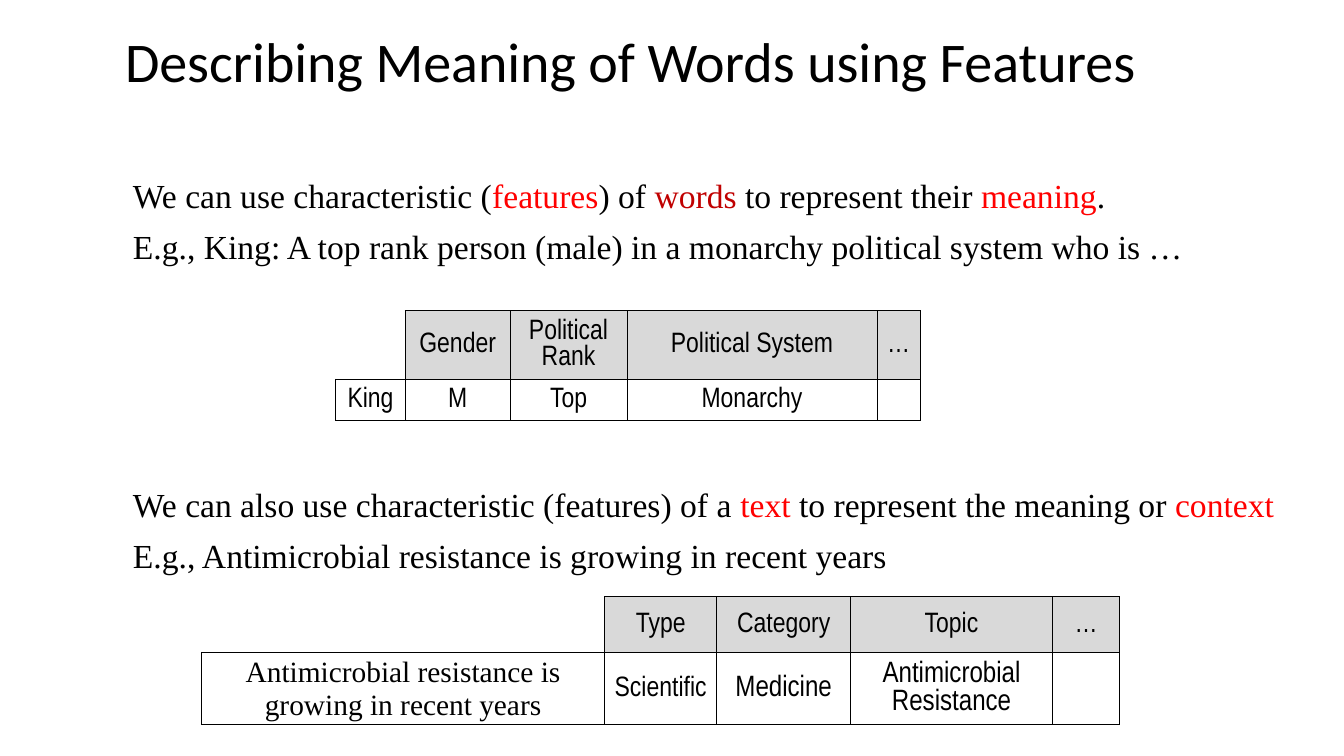
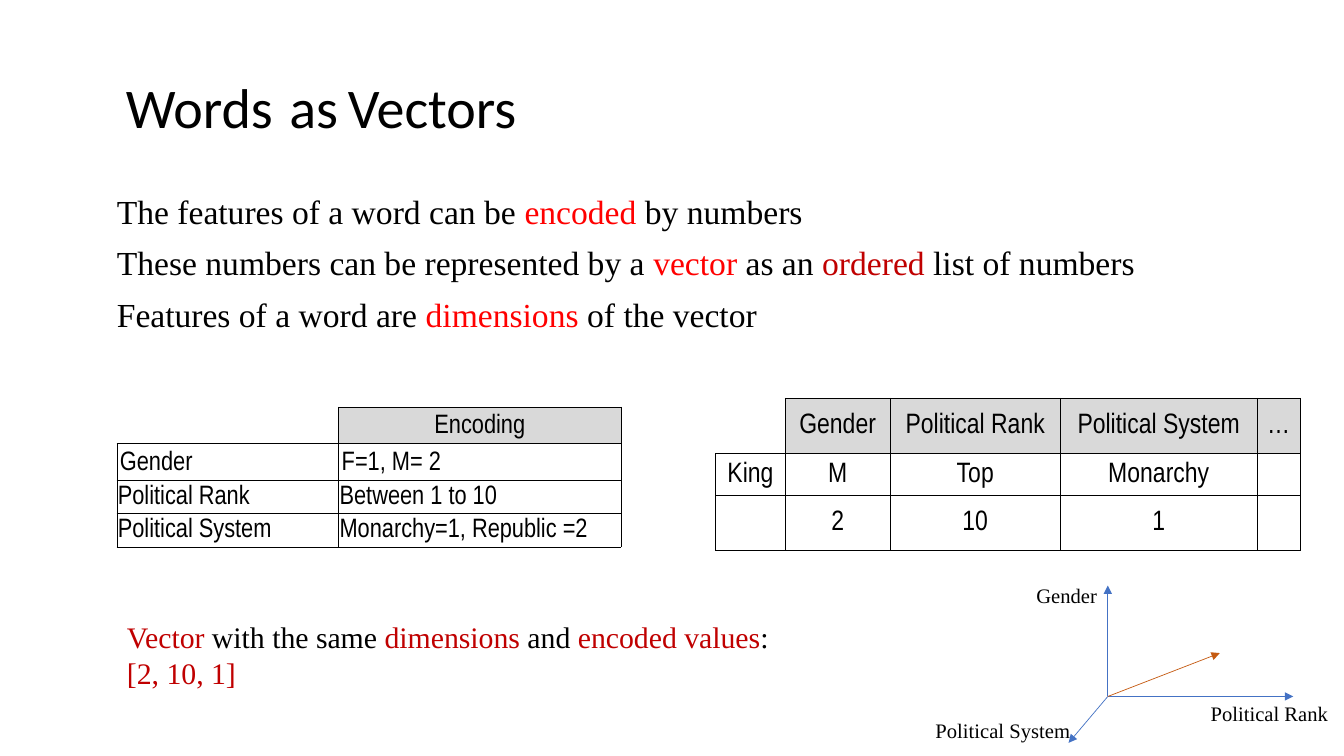
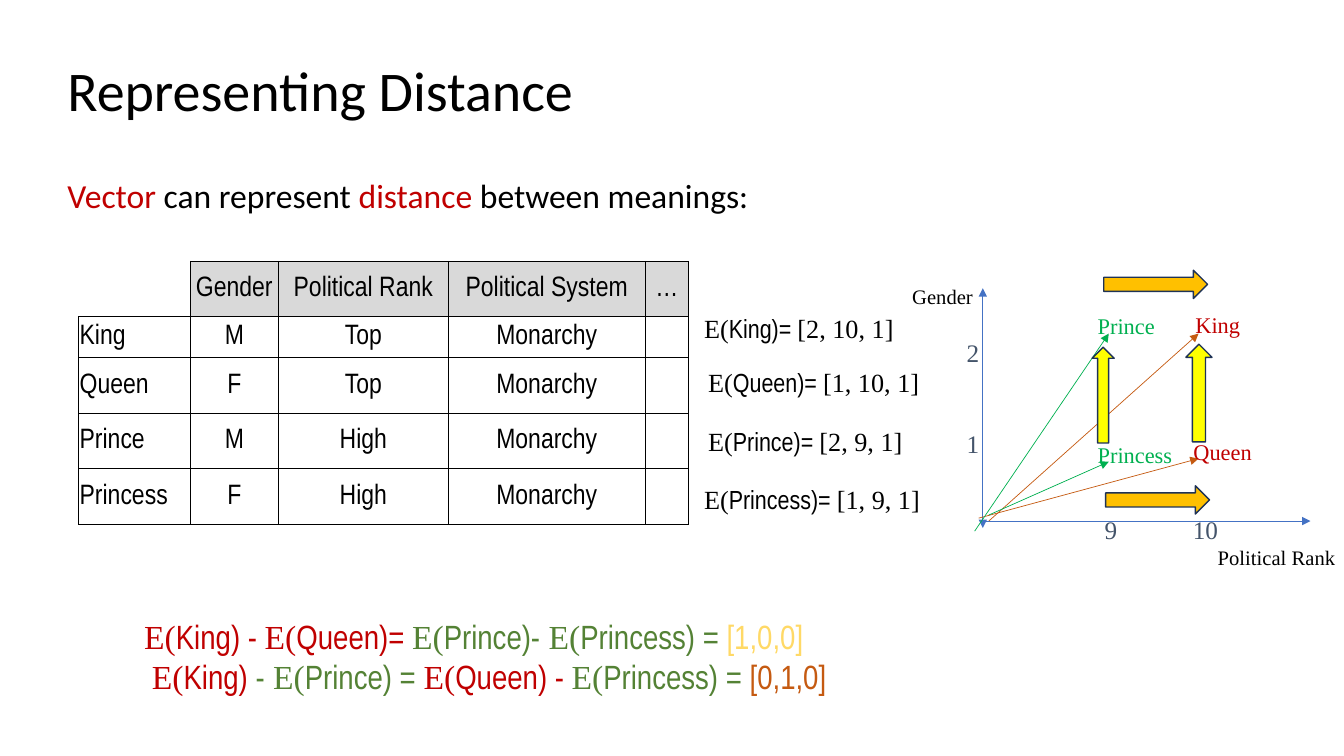
from dataclasses import dataclass

from lxml import etree
from pptx import Presentation
from pptx.dml.color import RGBColor
from pptx.enum.shapes import MSO_CONNECTOR, MSO_SHAPE
from pptx.enum.text import MSO_ANCHOR, PP_ALIGN
from pptx.oxml.ns import qn
from pptx.util import Pt

STRAIGHT = MSO_CONNECTOR.STRAIGHT
RIGHT_ARROW, UP_ARROW = MSO_SHAPE.RIGHT_ARROW, MSO_SHAPE.UP_ARROW
TOP, MIDDLE = MSO_ANCHOR.TOP, MSO_ANCHOR.MIDDLE
LEFT, CENTER = PP_ALIGN.LEFT, PP_ALIGN.CENTER


@dataclass(frozen=True)
class Theme:
    # Colours
    ink: str = "000000"
    red: str = "FF0000"
    dark_red: str = "C00000"
    green: str = "00B050"
    olive: str = "548235"
    rust: str = "C55A11"
    gold: str = "FFD966"
    orange: str = "FFC000"
    yellow: str = "FFFF00"
    blue: str = "4472C4"
    navy: str = "1E3256"
    slate: str = "44546A"
    header: str = "D9D9D9"
    # Fonts
    sans: str = "Calibri"
    serif: str = "Times New Roman"
    narrow: str = "Arial Narrow"
    # Type sizes
    title: float = 40
    body: float = 24
    note: float = 21.3
    cell_large: float = 21
    cell: float = 20
    cell_small: float = 19
    encoding: float = 18.7
    tick: float = 18
    word: float = 16
    axis: float = 14.7
    # Lines
    hairline: float = 0.5
    outline: float = 1


THEME = Theme()
TITLE_TABS = (116.64, 158.4)
RANK_SYSTEM_COLUMNS = (121.7, 140.4, 31)
FEATURES = ["Gender", "Political Rank", "Political System", "…"]


def rgb(colour):
    return RGBColor.from_string(colour)


def format_run(run, size, font, colour):
    run.font.size = Pt(size)
    run.font.name = font
    run.font.color.rgb = rgb(colour)


def add_text(slide, box, lines, size, font=THEME.serif, space_after=0, anchor=TOP):
    """Each line is a list of spans: (text, colour, font), the last two optional."""
    shape = slide.shapes.add_textbox(*map(Pt, box))
    frame = shape.text_frame
    frame.word_wrap = True
    frame.vertical_anchor = anchor
    frame.margin_left = frame.margin_right = frame.margin_top = frame.margin_bottom = 0
    for number, spans in enumerate(lines):
        paragraph = frame.add_paragraph() if number else frame.paragraphs[0]
        paragraph.space_after = Pt(space_after)
        for text, *style in spans:
            colour, face = (style + [THEME.ink, font][len(style):])
            run = paragraph.add_run()
            run.text = text
            format_run(run, size, face, colour)
    return frame


def add_title(slide, left, top, text):
    frame = add_text(slide, (left, top, 747, 48), [[(text,)]], THEME.title,
                     THEME.sans, anchor=MIDDLE)
    paragraph = frame.paragraphs[0]
    paragraph.line_spacing = 0.9
    tabs = etree.SubElement(paragraph._p.get_or_add_pPr(), qn("a:tabLst"))
    for position in TITLE_TABS:
        etree.SubElement(tabs, qn("a:tab"), pos=str(Pt(position)), algn="l")


def add_body(slide, left, top, width, lines):
    add_text(slide, (left, top, width, 36 * len(lines)), lines, THEME.body, space_after=8)


def add_label(slide, left, top, text, size, colour=THEME.ink, width=88):
    add_text(slide, (left, top, width, size * 1.2), [[(text, colour)]], size)


# Tables

def set_borders(cell, hidden):
    properties = cell._tc.get_or_add_tcPr()
    for index, side in enumerate(("a:lnL", "a:lnR", "a:lnT", "a:lnB")):
        line = etree.Element(qn(side), w=str(Pt(THEME.hairline)))
        if side in hidden:
            etree.SubElement(line, qn("a:noFill"))
        else:
            fill = etree.SubElement(line, qn("a:solidFill"))
            etree.SubElement(fill, qn("a:srgbClr"), val=THEME.ink)
        properties.insert(index, line)


def add_grid(slide, left, top, columns, rows, cells, size=THEME.cell,
             left_columns=(), wide_rows=()):
    """A cell is a text or (text, font, size); the top left corner stays open."""
    box = map(Pt, (left, top, sum(columns), sum(rows)))
    table = slide.shapes.add_table(len(rows), len(columns), *box).table
    table.first_row = table.horz_banding = False
    for column, width in zip(table.columns, columns):
        column.width = Pt(width)
    for row, height in zip(table.rows, rows):
        row.height = Pt(height)
    for r, values in enumerate(cells):
        inset = Pt(2.2 if r in wide_rows else 0.72)
        for c, value in enumerate(values):
            cell = table.cell(r, c)
            cell.margin_left = cell.margin_right = cell.margin_top = inset
            cell.margin_bottom = 0
            cell.vertical_anchor = MIDDLE
            set_borders(cell, ("a:lnL", "a:lnT") if r == c == 0 else ())
            if r == 0 and c > 0:
                cell.fill.solid()
                cell.fill.fore_color.rgb = rgb(THEME.header)
            else:
                cell.fill.background()
            if not value:
                continue
            text, font, points = (value, THEME.narrow, size) if isinstance(value, str) else value
            paragraph = cell.text_frame.paragraphs[0]
            paragraph.text = text
            paragraph.alignment = LEFT if r and c in left_columns else CENTER
            format_run(paragraph.runs[0], points, font, THEME.ink)


# Diagram parts, measured from the origin of the axes

def add_arrow(slide, origin, start, end, colour):
    x, y = origin
    ends = (x + start[0], y + start[1], x + end[0], y + end[1])
    connector = slide.shapes.add_connector(STRAIGHT, *map(Pt, ends))
    connector.line.width = Pt(THEME.hairline)
    connector.line.color.rgb = rgb(colour)
    properties = connector.element.spPr
    etree.SubElement(properties.find(qn("a:ln")), qn("a:tailEnd"), type="triangle")
    etree.SubElement(properties, qn("a:effectLst"))


def add_block_arrow(slide, origin, kind, box, colour):
    left, top, width, height = box
    shape = slide.shapes.add_shape(
        kind, *map(Pt, (origin[0] + left, origin[1] + top, width, height)))
    shape.shadow.inherit = False
    shape.fill.solid()
    shape.fill.fore_color.rgb = rgb(colour)
    shape.line.color.rgb = rgb(THEME.navy)
    shape.line.width = Pt(THEME.outline)


def add_vector_axes(slide, origin):
    x, y = origin
    for end in ((0, -79.2), (132.5, 0), (-28, 33.1)):
        add_arrow(slide, origin, (0, 0), end, THEME.blue)
    add_arrow(slide, origin, (0, 0), (80, -31), THEME.rust)
    for name, dx, dy in (("Gender", -51.1, -81.4), ("Political Rank", 73.4, 2.9),
                         ("Political System", -123.1, 15.1)):
        add_label(slide, x + dx, y + dy, name, THEME.axis, width=110 if dx < -100 else 90)


def add_distance_plot(slide, origin):
    x, y = origin
    # Axes, then one vector for each word
    for start, end, colour in (
        ((0, -88), (0, -166.3), THEME.blue),
        ((0, -88), (0, 5), THEME.blue),
        ((0, 0), (234, 0), THEME.blue),
        ((4.3, 0), (154.1, -133.9), THEME.rust),
        ((-2.9, -2.1), (154.1, -44.6), THEME.rust),
        ((4.3, -4.3), (90, -42.4), THEME.green),
        ((-5.8, 7.2), (90, -133.9), THEME.green),
    ):
        add_arrow(slide, origin, start, end, colour)
    # Axis names, words and ticks
    for text, dx, dy, size, colour in (
        ("Gender", -50.4, -169.2, THEME.axis, THEME.ink),
        ("Political Rank", 167.8, 17.3, THEME.axis, THEME.ink),
        ("Prince", 82.1, -149, THEME.word, THEME.green),
        ("Princess", 82.1, -56.8, THEME.word, THEME.green),
        ("King", 151.9, -149.7, THEME.word, THEME.dark_red),
        ("Queen", 150.5, -59, THEME.word, THEME.dark_red),
        ("2", -11.5, -131, THEME.tick, THEME.slate),
        ("1", -11.5, -66, THEME.tick, THEME.slate),
        ("9", 87.1, -5, THEME.tick, THEME.slate),
        ("10", 150, -5, THEME.tick, THEME.slate),
    ):
        add_label(slide, x + dx, y + dy, text, size, colour)
    # Equal steps between words
    for kind, box, colour in (
        (UP_ARROW, (145.1, -126.3, 18.7, 69.8), THEME.yellow),
        (UP_ARROW, (78.1, -124.2, 15.8, 68.4), THEME.yellow),
        (RIGHT_ARROW, (86.4, -179.2, 74.2, 20.2), THEME.orange),
        (RIGHT_ARROW, (87.8, -25.2, 74.2, 20.2), THEME.orange),
    ):
        add_block_arrow(slide, origin, kind, box, colour)


def embedding(rest, colour, opening="E("):
    return [(opening, colour, THEME.serif), (rest, colour, THEME.narrow)]


def add_equations(slide, left, top):
    red, olive = THEME.dark_red, THEME.olive
    frame = add_text(slide, (left, top, 570, 60), [
        embedding("King) - ", red) + embedding("Queen)= ", red)
        + embedding("Prince)-", olive) + embedding("Princess) = ", olive, " E(")
        + [("[1,0,0]", THEME.gold, THEME.narrow)],
        embedding("King) ", red) + [("-", olive, THEME.narrow)]
        + embedding("Prince) = ", olive, " E(") + embedding("Queen) - ", red)
        + embedding("Princess) = ", olive) + [("[0,1,0]", THEME.rust, THEME.narrow)],
    ], THEME.body)
    frame.paragraphs[1]._p.get_or_add_pPr().set("marL", str(Pt(5.5)))


# Slides

def build_features(slide):
    add_title(slide, 89.3, 22.3, "Describing Meaning of Words using Features")
    add_body(slide, 95, 124.6, 860, [
        [("We can use characteristic (",), ("features", THEME.red), (") of ",),
         ("words", THEME.dark_red), (" to represent their ",),
         ("meaning", THEME.red), (".",)],
        [("E.g., King: A top rank person (male) in a monarchy political system who is …",)],
    ])
    add_grid(slide, 239.8, 221.8, (49.7, 74.9, 83.5, 178.6, 31), (49, 29.5),
             [[""] + FEATURES, ["King", "M", "Top", "Monarchy", ""]])
    add_body(slide, 95, 345.6, 860, [
        [("We can also use characteristic (features) of a ",), ("text", THEME.red),
         (" to represent the meaning or ",), ("context", THEME.red)],
        [("E.g., Antimicrobial resistance is growing in recent years",)],
    ])
    large = THEME.cell_large
    add_grid(slide, 144, 426.2, (288, 79.9, 95.8, 144, 48.2), (39.6, 51.8), [
        ["", "Type", "Category", "Topic", "…"],
        [("Antimicrobial resistance is growing in recent years", THEME.serif, large),
         "Scientific", ("Medicine", THEME.narrow, large),
         ("Antimicrobial Resistance", THEME.narrow, large), ""],
    ])


def build_vectors(slide):
    add_title(slide, 90, 54.7, "Words\tas\tVectors")
    add_body(slide, 83.5, 136.1, 808, [
        [("The features of a word can be ",), ("encoded", THEME.red), (" by numbers",)],
        [("These numbers can be represented by a ",), ("vector ", THEME.red),
         ("as an ",), ("ordered", THEME.dark_red), (" list of numbers",)],
        [("Features of a word are ",), ("dimensions ", THEME.red), ("of the vector",)],
    ])
    add_grid(slide, 83.5, 290.9, (158.4, 201.6), (26, 26, 24, 24), [
        ["", "Encoding"],
        ["Gender", "F=1, M= 2"],
        ["Political Rank", "Between 1 to 10"],
        ["Political System", "Monarchy=1, Republic =2"],
    ], THEME.cell_small, left_columns=(0, 1), wide_rows=(0, 1))
    add_grid(slide, 511.2, 284.4, (49.7, 74.9) + RANK_SYSTEM_COLUMNS, (39.6, 29.5, 39.6), [
        [""] + FEATURES,
        ["King", "M", "Top", "Monarchy", ""],
        ["", "2", "10", "1", ""],
    ])
    add_text(slide, (90.7, 442.1, 560, 52), [
        [("Vector ", THEME.dark_red), ("with the same ",), ("dimensions", THEME.dark_red),
         (" and ",), ("encoded values", THEME.dark_red), (":",)],
        [("[2, 10, 1]", THEME.dark_red)],
    ], THEME.note)
    add_vector_axes(slide, (791.3, 497.5))


def build_distance(slide):
    add_title(slide, 48.2, 42.5, "Representing Distance")
    add_text(slide, (48.2, 124.6, 888, 36), [
        [("Vector", THEME.dark_red), (" can represent ",),
         ("distance", THEME.dark_red), (" between meanings:",)],
    ], THEME.body, THEME.sans)
    people = (("King", "M", "Top"), ("Queen", "F", "Top"),
              ("Prince", "M", "High"), ("Princess", "F", "High"))
    add_grid(slide, 56.2, 186.5, (79.9, 62.6) + RANK_SYSTEM_COLUMNS,
             (39.6, 29.5, 39.6, 39.6, 39.6),
             [[""] + FEATURES] + [[*person, "Monarchy", ""] for person in people],
             left_columns=(0,))
    # Encoded values beside the table rows
    for name, values, left, top in (
        ("King", "[2, 10, 1]", 502.9, 223.2), ("Queen", "[1, 10, 1]", 505.8, 261.4),
        ("Prince", "[2, 9, 1]", 505.8, 303.8), ("Princess", "[1, 9, 1]", 502.9, 344.9),
    ):
        add_text(slide, (left, top, 220, 23),
                 [embedding(name + ")= ", THEME.ink) + [(values,)]], THEME.encoding)
    add_distance_plot(slide, (702, 372.2))
    add_equations(slide, 103, 439.9)


def main():
    presentation = Presentation()
    presentation.slide_width, presentation.slide_height = Pt(960), Pt(540)
    blank = presentation.slide_layouts[6]
    for build in (build_features, build_vectors, build_distance):
        build(presentation.slides.add_slide(blank))
    presentation.save("out.pptx")


if __name__ == "__main__":
    main()
